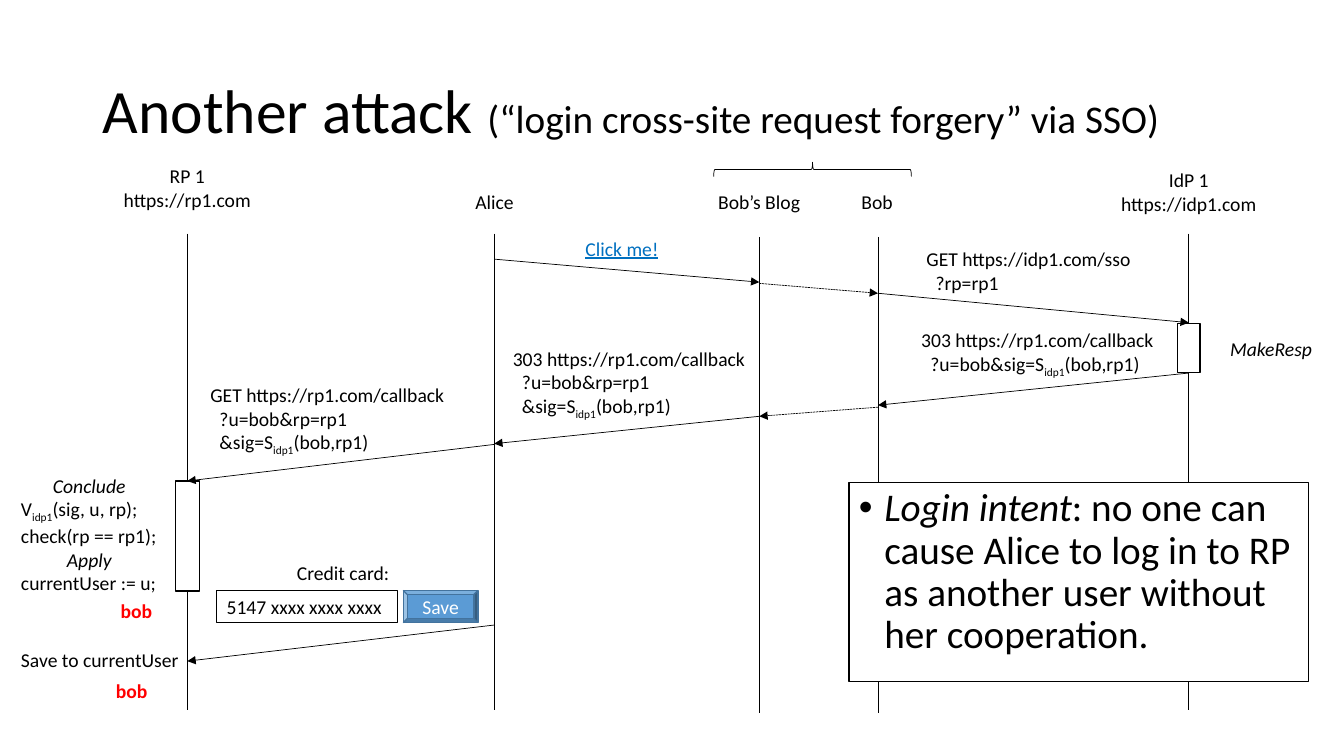
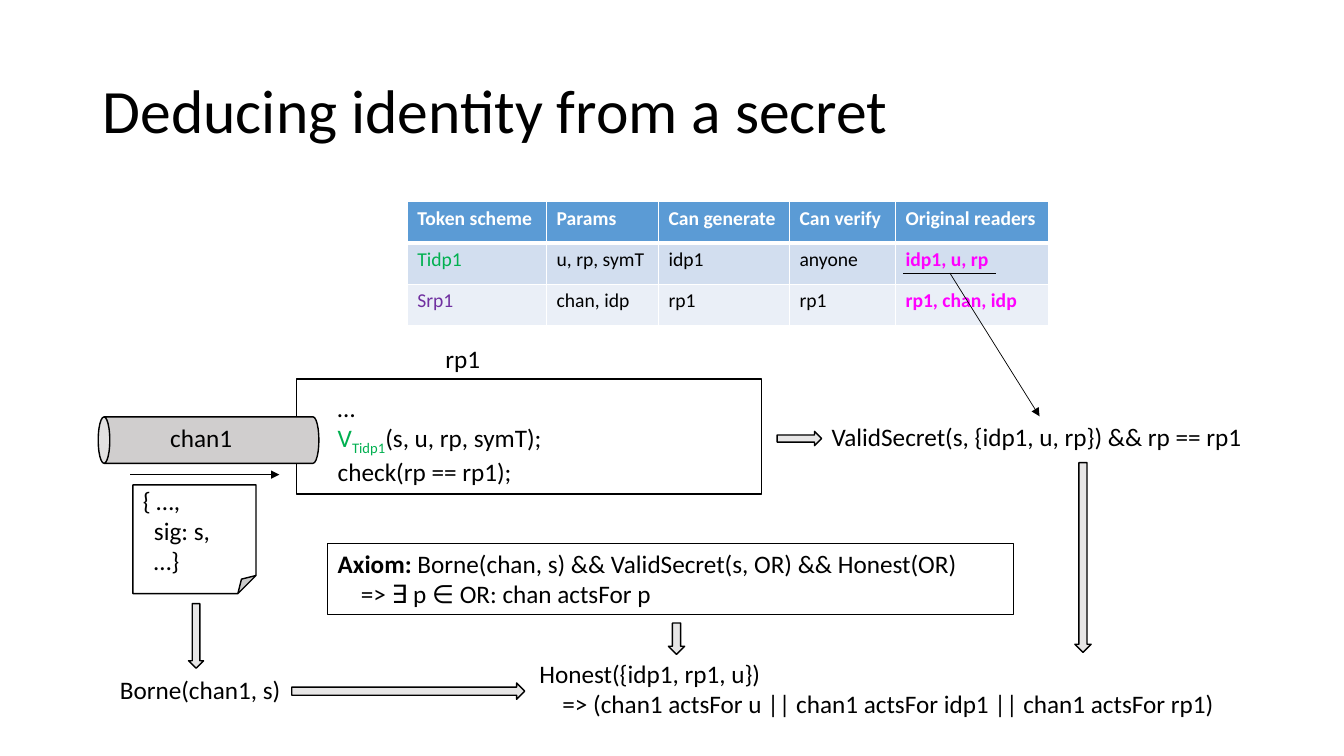
from collections import namedtuple
from itertools import accumulate, product
from lxml import etree
from pptx import Presentation
from pptx.dml.color import RGBColor
from pptx.enum.dml import MSO_LINE as Dash
from pptx.enum.shapes import MSO_CONNECTOR as Link, MSO_SHAPE as Form
from pptx.enum.text import MSO_ANCHOR as Anchor, MSO_AUTO_SIZE as Auto, PP_ALIGN as Align
from pptx.oxml.ns import qn
from pptx.util import Cm, Pt

FONT = "Calibri"
BLACK, WHITE, BLUE = "000000", "FFFFFF", "5B9BD5"
GREEN, PURPLE, PINK = "00B050", "7030A0", "FF00FF"
ITALIC, BOLD = {"italic": True}, {"bold": True}
SUB = {"base": -25000}
MID, LEFT = Align.CENTER, Align.LEFT
Par = namedtuple("Par", "bits align indent", defaults=(None, 0))


def inch(value):
    return Cm(round(value * 2.54, 2))


def lengths(box):
    return [inch(v) for v in box]


def color(text):
    return RGBColor.from_string(text)


def style(run, size, hue=BLACK, bold=False, italic=False, line=False, base=0):
    font = run.font
    font.name, font.size = FONT, Pt(size)
    font.bold, font.italic, font.underline = bold, italic, line
    font.color.rgb = color(hue)
    if base:
        font._element.set("baseline", str(base))


def write(frame, pars, size, align=LEFT, **look):
    for num, item in enumerate(pars):
        par = item if isinstance(item, Par) else Par([item])
        line = frame.add_paragraph() if num else frame.paragraphs[0]
        line.alignment = par.align or align
        if par.indent:
            line._p.get_or_add_pPr().set("marL", str(inch(par.indent)))
        for bit in par.bits:
            words, extra = (bit, {}) if isinstance(bit, str) else bit
            run = line.add_run()
            run.text = words
            style(run, **{"size": size, **look, **extra})


def label(slide, box, pars, size=14, wrap=False, **look):
    frame = slide.shapes.add_textbox(*lengths(box)).text_frame
    frame.word_wrap = wrap
    frame.auto_size = Auto.SHAPE_TO_FIT_TEXT
    write(frame, pars, size, **look)


def title(slide, *bits):
    frame = slide.shapes.add_textbox(*lengths((0.92, 0.4, 11.5, 1.45))).text_frame
    frame.word_wrap = True
    frame.vertical_anchor = Anchor.MIDDLE
    write(frame, [Par(bits)], 44)
    frame.paragraphs[0].line_spacing = 0.9


def shape(slide, form, box, fill=None, edge=BLACK, width=1, turn=0):
    item = slide.shapes.add_shape(form, *lengths(box))
    item.shadow.inherit = False
    item.rotation = turn
    if fill:
        item.fill.solid()
        item.fill.fore_color.rgb = color(fill)
    else:
        item.fill.background()
    item.line.color.rgb = color(edge)
    item.line.width = Pt(width)
    return item


def panel(slide, form, box, pars, size, anchor=Anchor.MIDDLE, look=None, **frame):
    item = shape(slide, form, box, **frame)
    item.text_frame.word_wrap = True
    item.text_frame.vertical_anchor = anchor
    write(item.text_frame, pars, size, **(look or {}))
    return item


def block(slide, box, turn=0):
    shape(slide, Form.DOWN_ARROW, box, "E7E6E6", turn=turn)


def line(slide, start, end, arrow=True, dash=False):
    item = slide.shapes.add_connector(Link.STRAIGHT, *lengths(start + end))
    item.line.color.rgb = color(BLACK)
    item.line.width = Pt(0.5)
    if dash:
        item.line.dash_style = Dash.SQUARE_DOT
    props = item.element.spPr
    if arrow:
        etree.SubElement(props.find(qn("a:ln")), qn("a:tailEnd"), type="triangle")
    etree.SubElement(props, qn("a:effectLst"))


def border(cell, widths):
    props = cell._tc.get_or_add_tcPr()
    for num, (side, width) in enumerate(zip("LRTB", widths)):
        edge = etree.Element(qn("a:ln" + side), w=str(Pt(width)))
        fill = etree.SubElement(edge, qn("a:solidFill"))
        etree.SubElement(fill, qn("a:srgbClr"), val=WHITE)
        props.insert(num, edge)


def table(slide, spot, cols, high, rows, fills, looks):
    box = (*spot, sum(cols), high * len(rows))
    grid = slide.shapes.add_table(len(rows), len(cols), *lengths(box)).table
    for col, wide in zip(grid.columns, cols):
        col.width = inch(wide)
    for row in grid.rows:
        row.height = inch(high)
    for r, c in product(range(len(rows)), range(len(cols))):
        cell = grid.cell(r, c)
        cell.text = rows[r][c]
        style(cell.text_frame.paragraphs[0].runs[0], 14, **looks(r, c))
        cell.fill.solid()
        cell.fill.fore_color.rgb = color(fills[r])
        border(cell, (1, 1, 3 if r == 1 else 1, 3 if r == 0 else 1))


def bullet(par):
    par.line_spacing, par.space_before = 0.9, Pt(10)
    props = par._p.get_or_add_pPr()
    props.set("marL", str(inch(0.25)))
    props.set("indent", str(-inch(0.25)))
    etree.SubElement(props, qn("a:buFont"), typeface="Arial")
    etree.SubElement(props, qn("a:buChar"), char="•")


def inset(*bits):
    return Par(bits, indent=0.09)


def attack(slide):
    title(slide, "Another attack ",
          ("(“login cross-site request forgery” via SSO)", {"size": 28}))
    rp, alice, blog, bob, idp = 1.86, 4.9, 7.53, 8.71, 11.79
    for x, top in ((rp, 2.32), (alice, 2.32), (blog, 2.35), (bob, 2.35), (idp, 2.32)):
        line(slide, (x, top), (x, top + 4.72), arrow=False)
    for box, pars in (
        ((1.12, 1.58, 1.48, 0.57), ["RP 1", "https://rp1.com"]),
        ((4.61, 1.83, 0.59, 0.34), ["Alice"]),
        ((7.02, 1.83, 1.02, 0.34), ["Bob’s Blog"]),
        ((8.44, 1.84, 0.52, 0.34), ["Bob"]),
        ((11.01, 1.62, 1.56, 0.57), ["IdP 1", "https://idp1.com"]),
        ((2.84, 5.52, 1.13, 0.34), ["Credit card:"]),
    ):
        label(slide, box, pars, align=MID)
    shape(slide, Form.LEFT_BRACE, (7.99, 0.7, 0.14, 1.96), width=0.5, turn=90)
    for box in ((11.68, 3.21, 0.22, 0.49), (1.74, 4.77, 0.24, 1.09)):
        shape(slide, Form.RECTANGLE, box, WHITE)

    for start, end, dash in (
        ((alice, 2.57), (blog, 2.8), False),
        ((blog, 2.81), (bob, 2.91), True),
        ((bob, 2.91), (idp, 3.2), False),
        ((idp, 3.7), (bob, 4.02), False),
        ((bob, 4.04), (blog, 4.13), True),
        ((blog, 4.13), (alice, 4.4), False),
        ((alice, 4.41), (rp, 4.77), False),
        ((alice, 6.2), (rp, 6.56), False),
    ):
        line(slide, start, end, dash=dash)

    sign = (("idp1", SUB), "(bob,rp1)")
    query = [inset("?u=bob&rp=rp1"), inset("&sig=S", *sign)]
    reply = "303 https://rp1.com/callback"
    label(slide, (5.71, 2.3, 0.93, 0.34), ["Click me!"], hue="0070C0", line=True)
    label(slide, (9.09, 2.4, 2.25, 0.57),
          ["GET https://idp1.com/sso", inset("?rp=rp1")])
    label(slide, (9.04, 3.21, 2.75, 0.57),
          [reply, inset("?u=bob&sig=S", *sign)], wrap=True)
    label(slide, (4.99, 3.39, 2.75, 0.81), [reply, *query], wrap=True)
    label(slide, (1.99, 3.75, 2.75, 0.81),
          ["GET https://rp1.com/callback", *query], wrap=True)
    label(slide, (12.1, 3.29, 1.02, 0.34), ["MakeResp"], align=MID, italic=True)
    label(slide, (0.11, 4.65, 1.55, 1.28), [
        Par([("Conclude", ITALIC)], MID),
        Par(["V", ("idp1", SUB), "(sig, u, rp);"]),
        "check(rp == rp1);",
        Par([("Apply", ITALIC)], MID),
        "currentUser := u;",
    ])
    label(slide, (0.11, 6.38, 1.78, 0.34), ["Save to currentUser"])
    for x, y in ((1.1, 5.89), (1.05, 6.69)):
        label(slide, (x, y, 0.52, 0.34), ["bob"], hue="FF0000", bold=True)

    panel(slide, Form.RECTANGLE, (2.15, 5.86, 1.79, 0.32),
          ["5147 xxxx xxxx xxxx"], 14, fill=WHITE)
    panel(slide, Form.BEVEL, (4, 5.86, 0.74, 0.32), ["Save"], 14,
          look={"hue": WHITE, "align": MID}, fill=BLUE, edge="43739E")
    goal = panel(slide, Form.RECTANGLE, (8.42, 4.79, 4.56, 1.97), [Par([
        ("Login intent", ITALIC),
        ": no one can cause Alice to log in to RP as another user"
        " without her cooperation.",
    ])], 28, Anchor.TOP, fill=WHITE, width=0.75)
    bullet(goal.text_frame.paragraphs[0])


def token(r, c):
    if r == 0:
        return {"hue": WHITE, "bold": True}
    if c == 4:
        return {"hue": PINK, "bold": True}
    return {"hue": (GREEN, PURPLE)[r - 1] if c == 0 else BLACK}


def secret(slide):
    title(slide, "Deducing identity from a secret")
    cols = (1.38, 1.11, 1.3, 1.05, 1.52)
    table(slide, (4.04, 2), cols, 0.41, (
        ("Token scheme", "Params", "Can generate", "Can verify", "Original readers"),
        ("Tidp1", "u, rp, symT", "idp1", "anyone", "idp1, u, rp"),
        ("Srp1", "chan, idp", "rp1", "rp1", "rp1, chan, idp"),
    ), (BLUE, "D2DEEF", "EAEFF7"), token)
    last = 4.04 + list(accumulate(cols))[-2]
    line(slide, (last + 0.08, 2.71), (last + 1, 2.71), arrow=False)
    line(slide, (9.42, 2.71), (10.31, 4.13))

    shape(slide, Form.RECTANGLE, (2.94, 3.76, 4.61, 1.14))
    shape(slide, Form.CAN, (1.84, 3.27, 0.46, 2.19), "D0CECE", turn=270)
    line(slide, (1.29, 4.71), (2.77, 4.71))
    panel(slide, Form.FOLDED_CORNER, (1.32, 4.81, 1.22, 1.08),
          ["{ …,", Par(["sig: s,"], indent=0.11), Par(["…}"], indent=0.11)],
          18, fill=WHITE)
    panel(slide, Form.RECTANGLE, (3.25, 5.39, 6.8, 0.71), [
        Par([("Axiom:", BOLD), " Borne(chan, s) && ValidSecret(s, OR) && Honest(OR)"]),
        Par(["=> ∃ p ∈ OR: chan actsFor p"], indent=0.23),
    ], 18, Anchor.TOP, width=0.75)

    label(slide, (1.59, 4.14, 0.95, 0.4), ["chan1"], 18, wrap=True)
    for box, pars in (
        ((4.32, 3.36, 0.55, 0.4), ["rp1"]),
        ((1.09, 6.64, 1.84, 0.4), ["Borne(chan1, s)"]),
        ((3.25, 3.84, 2.3, 1.01), [
            "…",
            Par([("V", {"hue": GREEN}), ("Tidp1", {"hue": GREEN, **SUB}),
                 "(s, u, rp, symT);"]),
            "check(rp == rp1);",
        ]),
        ((8.15, 4.13, 4.32, 0.4), ["ValidSecret(s, {idp1, u, rp}) && rp == rp1"]),
        ((5.25, 6.48, 6.97, 0.71), [
            "Honest({idp1, rp1, u})",
            Par(["=> (chan1 actsFor u || chan1 actsFor idp1 || chan1 actsFor rp1)"],
                indent=0.23),
        ]),
    ):
        label(slide, box, pars, 18)

    for box in ((1.87, 5.99, 0.15, 0.64), (6.63, 6.18, 0.16, 0.31),
                (10.66, 4.59, 0.16, 1.88)):
        block(slide, box)
    for box in ((7.86, 4.13, 0.14, 0.44), (3.97, 5.7, 0.16, 2.31)):
        block(slide, box, 270)


def main():
    deck = Presentation()
    deck.slide_width, deck.slide_height = lengths((13.33, 7.5))
    for draw in (attack, secret):
        draw(deck.slides.add_slide(deck.slide_layouts[6]))
    deck.save("out.pptx")


main()
